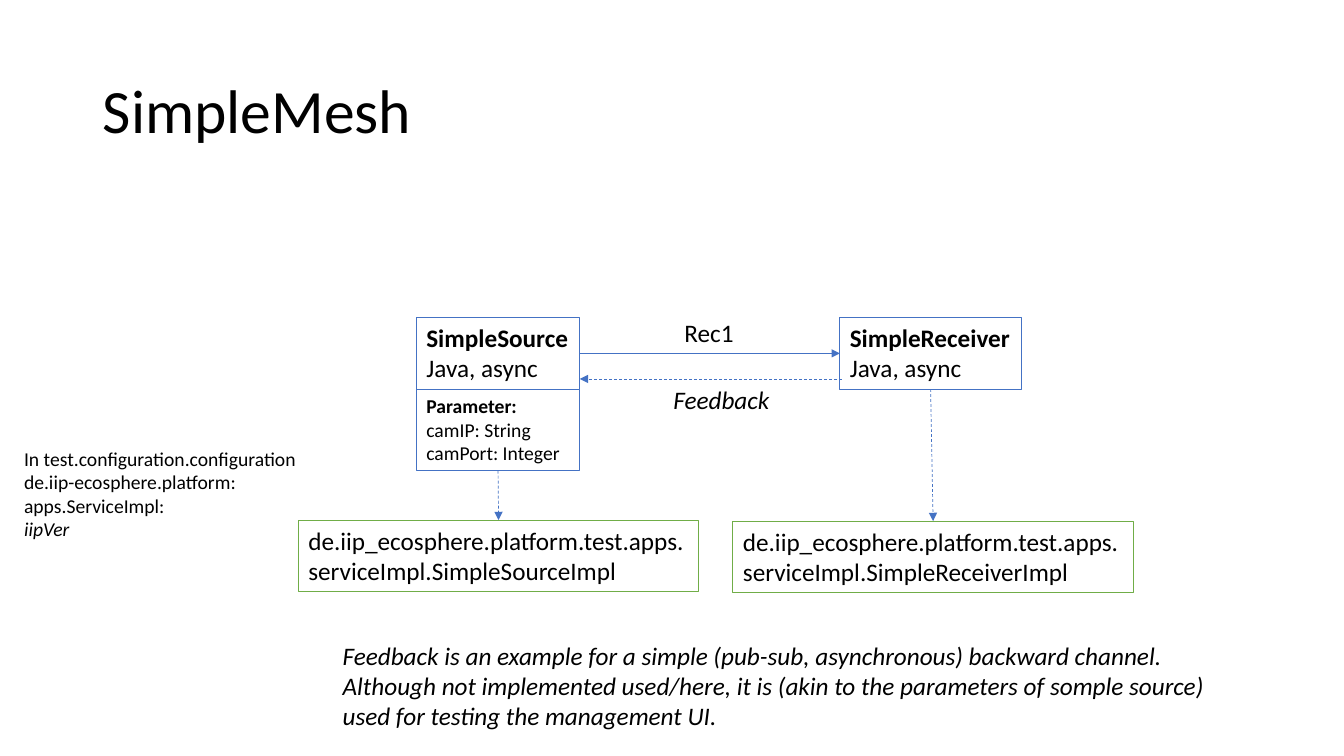
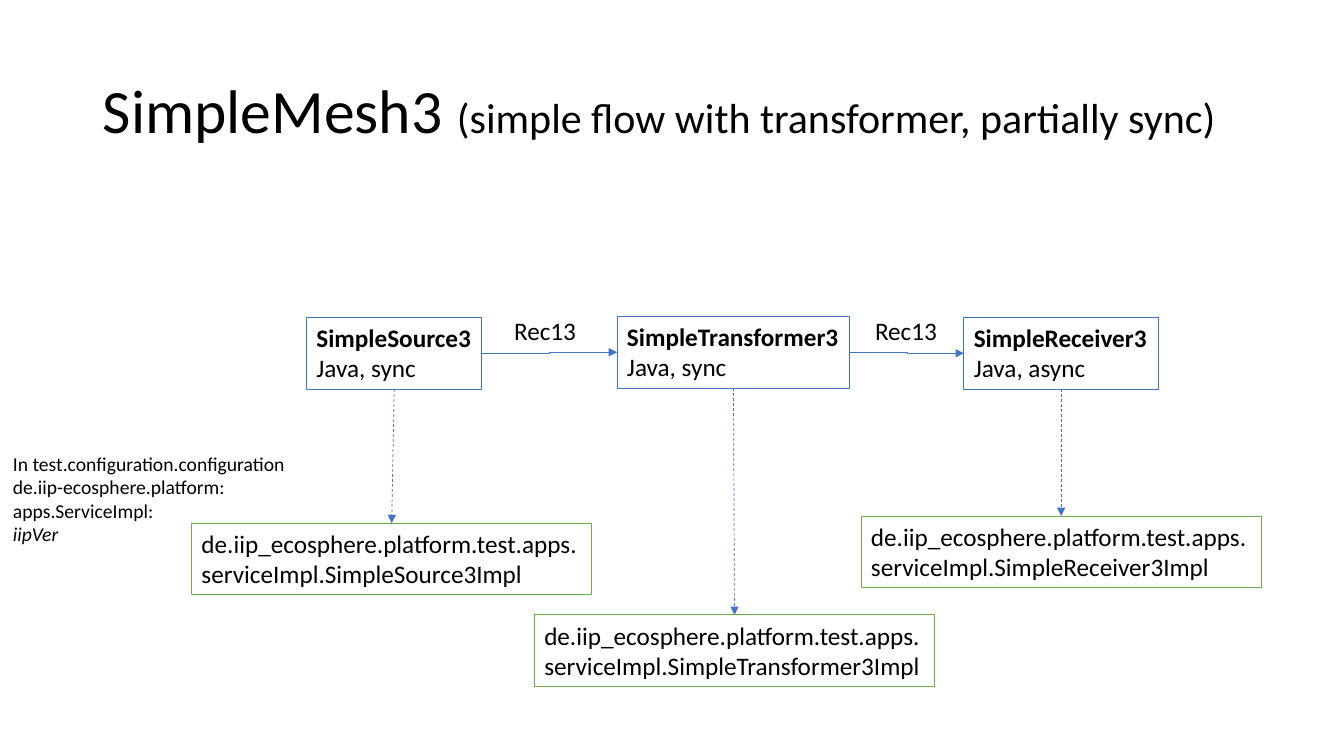
from lxml import etree
from pptx import Presentation
from pptx.dml.color import RGBColor
from pptx.enum.dml import MSO_LINE
from pptx.enum.shapes import MSO_CONNECTOR, MSO_SHAPE
from pptx.enum.text import MSO_ANCHOR, MSO_AUTO_SIZE, PP_ALIGN
from pptx.oxml.ns import qn
from pptx.util import Inches, Pt

STRAIGHT, ELBOW = MSO_CONNECTOR.STRAIGHT, MSO_CONNECTOR.ELBOW
RECTANGLE = MSO_SHAPE.RECTANGLE
DASH = MSO_LINE.DASH
TOP, MIDDLE = MSO_ANCHOR.TOP, MSO_ANCHOR.MIDDLE
FIT_SHAPE, NO_FIT = MSO_AUTO_SIZE.SHAPE_TO_FIT_TEXT, MSO_AUTO_SIZE.NONE
LEFT = PP_ALIGN.LEFT

FONT = "Calibri"
BLACK, WHITE, BLUE, GREEN = "000000", "FFFFFF", "4472C4", "70AD47"
BODY_SIZE, SMALL_SIZE = 18, 14
BOX_HEIGHT, CLASS_WIDTH = 0.71, 3.97
TOP_SIDE, LEFT_SIDE, BOTTOM_SIDE, RIGHT_SIDE = range(4)
PACKAGE_LINE = "de.iip_ecosphere.platform.test.apps."


def color(hex_text):
    return RGBColor.from_string(hex_text)


def add_span(para, text, size, bold=False, italic=False):
    for index, line in enumerate(text.split("\n")):
        if index:
            para.add_line_break()
        span = para.add_run()
        span.text = line
        font = span.font
        font.name, font.size = FONT, Pt(size)
        font.bold, font.italic = bold, italic
        font.color.rgb = color(BLACK)


def fill_text(box, lines, size, wrap=False):
    frame = box.text_frame
    frame.word_wrap = wrap
    frame.auto_size = FIT_SHAPE
    frame.vertical_anchor = TOP
    for index, (text, style) in enumerate(lines):
        para = frame.add_paragraph() if index else frame.paragraphs[0]
        para.alignment = LEFT
        add_span(para, text, size, bold=style == "bold", italic=style == "italic")


def add_label(page, left, top, width, height, lines, size=BODY_SIZE):
    box = page.shapes.add_textbox(Inches(left), Inches(top), Inches(width), Inches(height))
    fill_text(box, lines, size)


def add_box(page, left, top, width, height, lines, line_color,
            size=BODY_SIZE, fill=None, wrap=False):
    box = page.shapes.add_shape(
        RECTANGLE, Inches(left), Inches(top), Inches(width), Inches(height))
    box.shadow.inherit = False
    if fill:
        box.fill.solid()
        box.fill.fore_color.rgb = color(fill)
    else:
        box.fill.background()
    box.line.color.rgb = color(line_color)
    box.line.width = Pt(0.75)
    fill_text(box, lines, size, wrap)
    return box


def add_service(page, left, top, width, name, mode):
    lines = [(name, "bold"), (f"Java, {mode}", "")]
    return add_box(page, left, top, width, BOX_HEIGHT, lines, BLUE)


def add_class(page, left, top, service):
    lines = [(f"{PACKAGE_LINE}\nserviceImpl.{service}Impl", "")]
    return add_box(page, left, top, CLASS_WIDTH, BOX_HEIGHT, lines, GREEN)


def add_arrow(page, kind, start=(0, 0), end=(0, 0), dashed=False):
    arrow = page.shapes.add_connector(kind, *map(Inches, start + end))
    arrow.line.color.rgb = color(BLUE)
    arrow.line.width = Pt(0.5)
    if dashed:
        arrow.line.dash_style = DASH
    etree.SubElement(arrow.line._get_or_add_ln(), qn("a:tailEnd"), type="triangle")
    etree.SubElement(arrow._element.spPr, qn("a:effectLst"))
    return arrow


def connect(page, kind, source, source_side, target, target_side, dashed=False):
    arrow = add_arrow(page, kind, dashed=dashed)
    arrow.begin_connect(source, source_side)
    arrow.end_connect(target, target_side)


def add_flow(page, source, target):
    connect(page, ELBOW, source, RIGHT_SIDE, target, LEFT_SIDE)


def add_implementation(page, service, class_box):
    connect(page, STRAIGHT, service, BOTTOM_SIDE, class_box, TOP_SIDE, dashed=True)


def add_configuration_note(page, left, top):
    add_label(page, left, top, 2.93, 1.04, [
        ("In test.configuration.configuration", ""),
        ("de.iip-ecosphere.platform:", ""),
        ("apps.ServiceImpl:", ""),
        ("iipVer", "italic"),
    ], SMALL_SIZE)


def add_page(deck, title_spans):
    page = deck.slides.add_slide(deck.slide_layouts[5])
    title = page.shapes.title
    title.left, title.top = Inches(0.92), Inches(0.4)
    title.width, title.height = Inches(11.5), Inches(1.45)
    frame = title.text_frame
    frame.word_wrap = True
    frame.auto_size = NO_FIT
    frame.vertical_anchor = MIDDLE
    para = frame.paragraphs[0]
    para.alignment = LEFT
    para.line_spacing = 0.9
    for text, size in title_spans:
        add_span(para, text, size)
    return page


def build_mesh(deck):
    page = add_page(deck, [("SimpleMesh", 44)])
    source = add_service(page, 4.13, 3.15, 1.62, "SimpleSource", "async")
    receiver = add_service(page, 8.33, 3.15, 1.8, "SimpleReceiver", "async")
    add_flow(page, source, receiver)
    add_label(page, 6.69, 3.1, 0.7, 0.4, [("Rec1", "")])
    source_class = add_class(page, 2.96, 5.16, "SimpleSource")
    receiver_class = add_class(page, 7.27, 5.17, "SimpleReceiver")
    add_configuration_note(page, 0.14, 4.38)
    add_implementation(page, receiver, receiver_class)
    add_arrow(page, ELBOW, (8.35, 3.76), (5.75, 3.76), dashed=True)
    add_label(page, 6.58, 3.76, 1.17, 0.4, [("Feedback", "italic")])
    add_label(page, 3.3, 6.3, 8.9, 1.01, [
        ("Feedback is an example for a simple (pub-sub, asynchronous) backward channel.",
         "italic"),
        ("Although not implemented used/here, it is (akin to the parameters of somple source) "
         "\nused for testing the management UI.", "italic"),
    ])
    parameters = add_box(page, 4.13, 3.86, 1.62, 0.81, [
        ("Parameter:", "bold"),
        ("camIP: String", ""),
        ("camPort: Integer", ""),
    ], BLUE, SMALL_SIZE, WHITE, wrap=True)
    add_implementation(page, parameters, source_class)


def build_transformer_mesh(deck):
    page = add_page(deck, [
        ("SimpleMesh3 ", 44),
        ("(simple flow with transformer, partially sync)", 30),
    ])
    chain = [
        ("SimpleSource3", "sync", (3.04, 3.15, 1.74), (1.9, 5.19)),
        ("SimpleTransformer3", "sync", (6.12, 3.14, 2.31), (5.3, 6.1)),
        ("SimpleReceiver3", "async", (9.56, 3.15, 1.93), (8.54, 5.12)),
    ]
    services = []
    for name, mode, service_place, class_place in chain:
        service = add_service(page, *service_place, name, mode)
        add_implementation(page, service, add_class(page, *class_place, name))
        services.append(service)
    for source, target, label_left in zip(services, services[1:], (5, 8.58)):
        add_flow(page, source, target)
        add_label(page, label_left, 3.08, 0.82, 0.4, [("Rec13", "")])
    add_configuration_note(page, 0.03, 4.43)


def main():
    deck = Presentation()
    deck.slide_width, deck.slide_height = Inches(13.33), Inches(7.5)
    build_mesh(deck)
    build_transformer_mesh(deck)
    deck.save("out.pptx")


if __name__ == "__main__":
    main()
